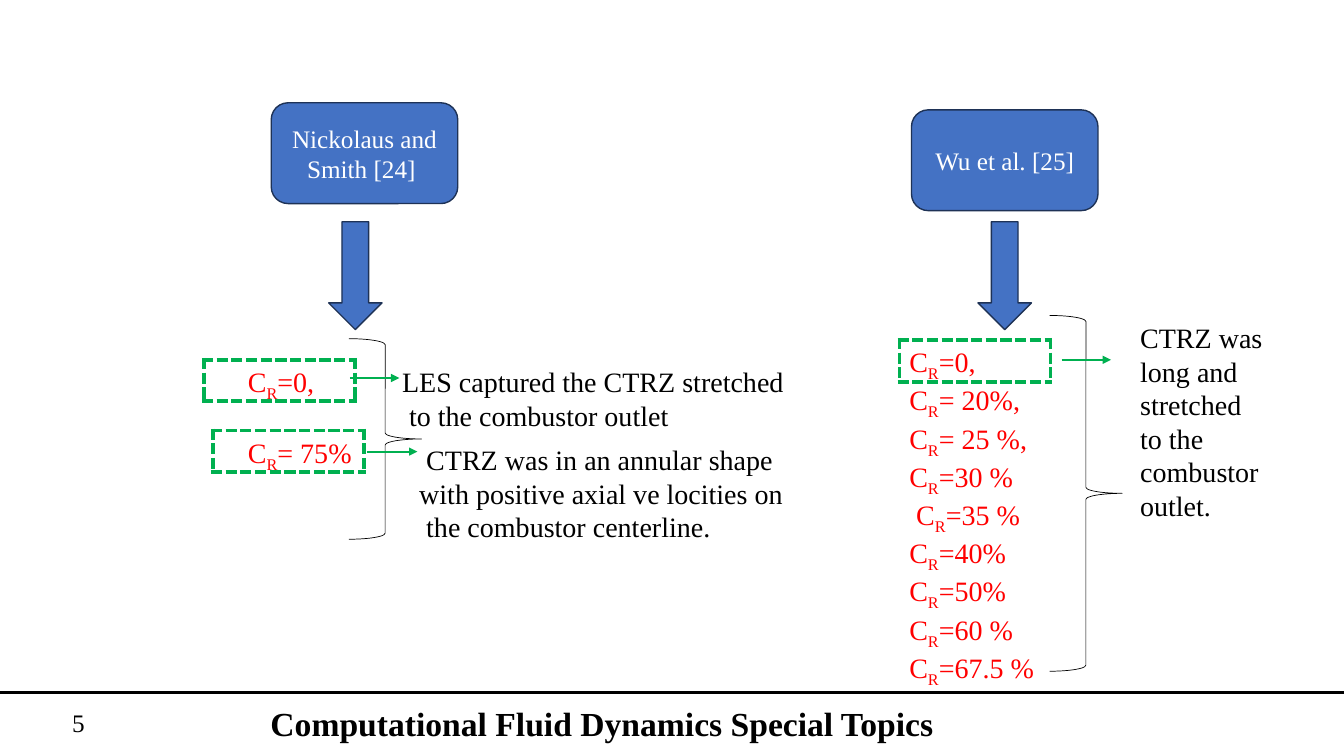
from dataclasses import dataclass

from lxml import etree
from pptx import Presentation
from pptx.dml.color import RGBColor
from pptx.enum.shapes import MSO_CONNECTOR, MSO_SHAPE
from pptx.enum.text import MSO_ANCHOR, PP_ALIGN
from pptx.oxml import parse_xml
from pptx.oxml.ns import nsdecls, qn
from pptx.util import Inches, Pt

ROUND_BOX = MSO_SHAPE.ROUNDED_RECTANGLE
DOWN_ARROW = MSO_SHAPE.DOWN_ARROW
RIGHT_BRACE = MSO_SHAPE.RIGHT_BRACE
STRAIGHT = MSO_CONNECTOR.STRAIGHT
MIDDLE, TOP = MSO_ANCHOR.MIDDLE, MSO_ANCHOR.TOP
LEFT, CENTER, RIGHT = PP_ALIGN.LEFT, PP_ALIGN.CENTER, PP_ALIGN.RIGHT


@dataclass(frozen=True)
class Theme:
    font: str = "Times New Roman"
    blue: str = "4472C4"
    navy: str = "1E3256"
    green: str = "00B050"
    red: str = "FF0000"
    black: str = "000000"
    white: str = "FFFFFF"
    label: int = 18
    body: int = 20
    footer: int = 24


THEME = Theme()


def rgb(value):
    return RGBColor.from_string(value)


def style(p, size, color, align=LEFT, bold=False):
    p.alignment = align
    p.font.name = THEME.font
    p.font.size = Pt(size)
    p.font.bold = bold
    p.font.color.rgb = rgb(color)


def add_text(slide, box, lines, size=THEME.body, color=THEME.black,
             align=LEFT, anchor=TOP, bold=False):
    tf = slide.shapes.add_textbox(*map(Inches, box)).text_frame
    tf.word_wrap = True
    tf.vertical_anchor = anchor
    for i, line in enumerate(lines):
        p = tf.paragraphs[0] if i == 0 else tf.add_paragraph()
        style(p, size, color, align, bold)
        p.add_run().text = line
    return tf


def add_ratios(slide, box, values, gap=0):
    """List C_R values, with R as a subscript."""
    tf = add_text(slide, box, [symbol for symbol, _ in values], color=THEME.red)
    for i, (p, (_, value)) in enumerate(zip(tf.paragraphs, values)):
        if i:
            p.space_before = Pt(gap)
        r = p.add_run()
        r.text = "R"
        r.font._element.set("baseline", "-25000")
        p.add_run().text = value


def add_shape(slide, kind, box, fill=None, line=THEME.navy, width=1):
    sp = slide.shapes.add_shape(kind, *map(Inches, box))
    sp.shadow.inherit = False
    if fill:
        sp.fill.solid()
        sp.fill.fore_color.rgb = rgb(fill)
    else:
        sp.fill.background()
    sp.line.color.rgb = rgb(line)
    sp.line.width = Pt(width)
    return sp


def add_line(slide, x, y, length, color, arrow=False):
    line = slide.shapes.add_connector(
        STRAIGHT, Inches(x), Inches(y), Inches(x + length), Inches(y))
    line.line.color.rgb = rgb(color)
    line.line.width = Pt(1.5)
    if arrow:
        etree.SubElement(line.line._get_or_add_ln(), qn("a:tailEnd"), type="triangle")
    etree.SubElement(line._element.spPr, qn("a:effectLst"))


def add_dashed_cell(slide, x, y, height=0.41):
    frame = slide.shapes.add_table(
        1, 1, Inches(x), Inches(y), Inches(1.5), Inches(height))
    table = frame.table
    table.first_row = table.horz_banding = False
    cell = table.cell(0, 0)
    cell.fill.background()
    tc_pr = cell._tc.get_or_add_tcPr()
    for i, side in enumerate(("lnL", "lnR", "lnT", "lnB")):
        tc_pr.insert(i, parse_xml(
            f'<a:{side} {nsdecls("a")} w="{Pt(3)}"><a:solidFill>'
            f'<a:srgbClr val="{THEME.green}"/></a:solidFill>'
            f'<a:prstDash val="sysDash"/></a:{side}>'))


def add_study(slide, name, box, arrow_x):
    """Name of a study, with the block arrow to its findings."""
    sp = add_shape(slide, ROUND_BOX, box, THEME.blue)
    tf = sp.text_frame
    tf.word_wrap = True
    tf.vertical_anchor = MIDDLE
    tf.text = name
    style(tf.paragraphs[0], THEME.label, THEME.white, CENTER)
    add_shape(slide, DOWN_ARROW, (arrow_x, 2.2, 0.53, 1.07), THEME.blue)


def add_brace(slide, box):
    add_shape(slide, RIGHT_BRACE, box, line=THEME.black, width=0.5)


def nickolaus_findings(slide, x, y):
    add_ratios(slide, (x + 0.34, y, 1.97, 1.11), [("C", "=0,"), ("C", "= 75%")], gap=23)
    add_text(slide, (x + 1.87, y, 5.56, 0.77),
             ["LES captured the CTRZ stretched", " to the combustor outlet"])
    add_brace(slide, (x + 1.44, y - 0.21, 0.72, 1.99))
    add_dashed_cell(slide, x, y)
    add_dashed_cell(slide, x + 0.09, y + 0.7)
    add_line(slide, x + 1.45, y + 0.18, 0.49, THEME.green, arrow=True)
    add_line(slide, x + 1.62, y + 0.91, 0.5, THEME.green, arrow=True)
    add_text(slide, (x + 2.04, y + 0.77, 5.56, 1.11),
             [" CTRZ was in an annular shape",
              "with positive axial ve locities on",
              " the combustor centerline."])


def wu_findings(slide, x, y):
    values = ["=0,", "= 20%,", "= 25 %,", "=30 %", "=35 %",
              "=40%", "=50%", "=60 %", "=67.5 %"]
    add_dashed_cell(slide, x, y, 0.42)
    add_ratios(slide, (x, y, 1.97, 3.47),
               [(" C" if v == "=35 %" else "C", v) for v in values])
    add_brace(slide, (x + 1.49, y - 0.24, 0.72, 3.53))
    add_line(slide, x + 1.61, y + 0.2, 0.49, THEME.green, arrow=True)
    add_text(slide, (x + 2.29, y - 0.24, 1.81, 1.21),
             ["CTRZ was long and", "stretched", "to the", "combustor outlet."])


def add_footer(slide, y, width):
    add_line(slide, 0, y, width, THEME.black)
    tf = add_text(slide, (0.13, y + 0.1, 0.81, 0.4), [], THEME.label)
    tf.vertical_anchor = MIDDLE
    p = tf.paragraphs[0]
    style(p, THEME.label, THEME.black, RIGHT)
    # Slide number field
    p._p.append(parse_xml(
        f'<a:fld {nsdecls("a")} id="{{B6F15528-21DE-4FAA-801E-634DDDAF4B2B}}" '
        f'type="slidenum"><a:rPr lang="en-US" sz="{THEME.label * 100}"><a:latin typeface="{THEME.font}"/>'
        '</a:rPr><a:t>5</a:t></a:fld>'))
    add_text(slide, (0.94, y + 0.08, 10.06, 0.44),
             ["Computational Fluid Dynamics Special Topics"],
             THEME.footer, align=CENTER, anchor=MIDDLE, bold=True)


def main():
    prs = Presentation()
    prs.slide_width, prs.slide_height = Inches(13.33), Inches(7.5)
    prs.element.set("firstSlideNum", "5")
    slide = prs.slides.add_slide(prs.slide_layouts[6])

    # Left study
    add_study(slide, "Nickolaus and Smith [24] ", (2.69, 1.02, 1.85, 1), 3.26)
    nickolaus_findings(slide, 2.02, 3.57)

    # Right study
    add_study(slide, "Wu et al. [25]", (9.04, 1.09, 1.85, 1), 9.7)
    wu_findings(slide, 8.92, 3.37)

    add_footer(slide, 6.87, 13.33)
    prs.save("out.pptx")


if __name__ == "__main__":
    main()
